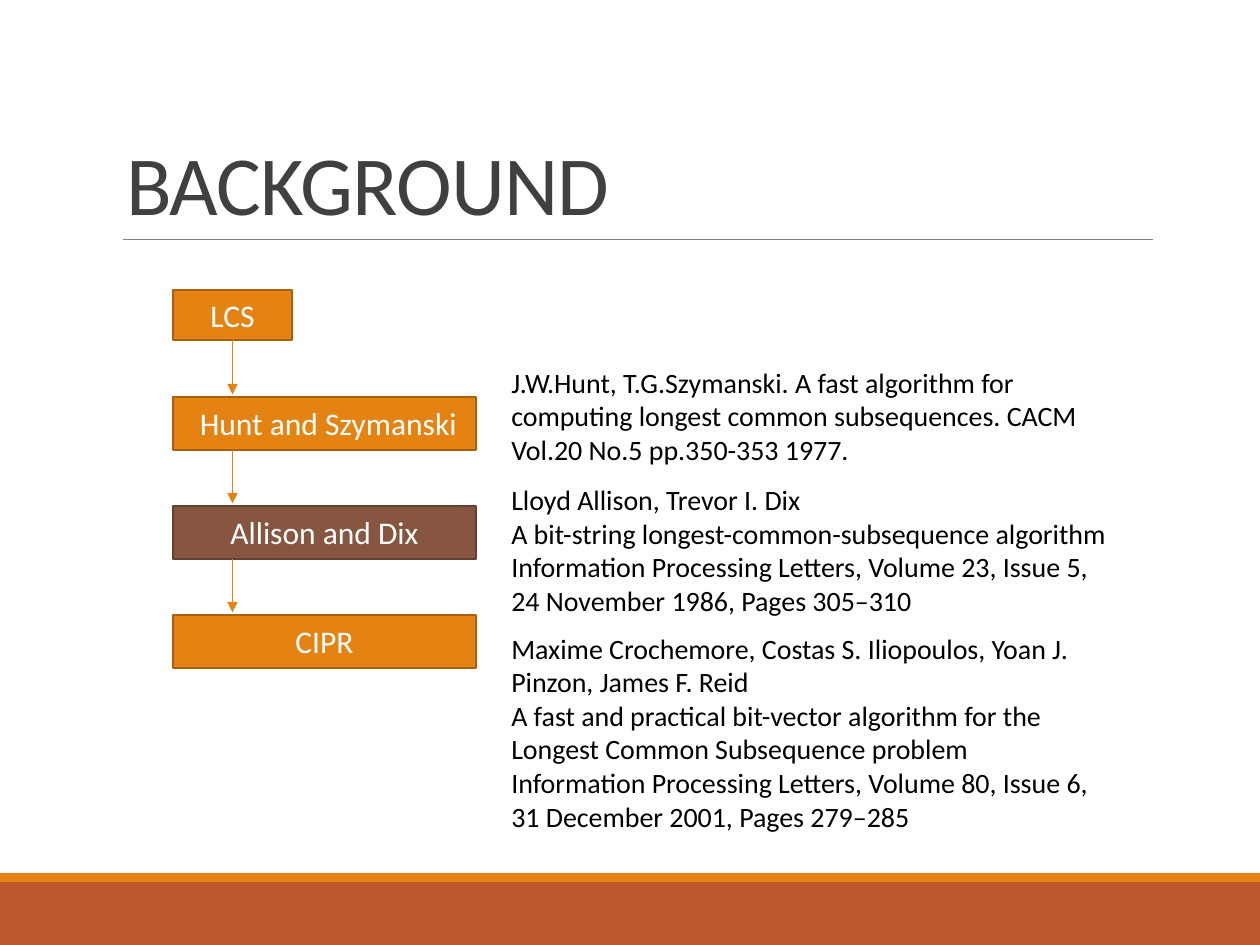
from dataclasses import dataclass
from pptx import Presentation
from pptx.dml.color import RGBColor
from pptx.enum.shapes import MSO_CONNECTOR, MSO_SHAPE
from pptx.enum.text import MSO_ANCHOR, MSO_AUTO_SIZE, PP_ALIGN
from pptx.oxml.ns import qn
from pptx.util import Inches, Pt
from lxml.etree import SubElement

WIDE, HIGH = Inches(10), Inches(7.5)
COLS, ROWS = 100, 75


@dataclass(frozen=True)
class Theme:
    font: str = "Calibri"
    title: float = 48
    label: float = 18
    body: float = 16
    ink: str = "404040"
    text: str = "000000"
    white: str = "FFFFFF"
    rule: str = "808080"
    main: str = "E48312"
    edge: str = "A9610D"
    alt: str = "865640"
    rim: str = "63402F"
    base: str = "BD582C"


THEME = Theme()

NOTES = [
    (28.5, 9.1, [
        "J.W.Hunt, T.G.Szymanski. A fast algorithm for computing longest common "
        "subsequences. CACM Vol.20 No.5 pp.350-353 1977."]),
    (37.8, 11.8, [
        "Lloyd Allison, Trevor I. Dix",
        "A bit-string longest-common-subsequence algorithm",
        "Information Processing Letters, Volume 23, Issue 5, "
        "24 November 1986, Pages 305–310"]),
    (49.6, 17.8, [
        "Maxime Crochemore, Costas S. Iliopoulos, Yoan J. Pinzon, James F. Reid",
        "A fast and practical bit-vector algorithm for the "
        "Longest Common Subsequence problem",
        "Information Processing Letters, Volume 80, Issue 6, "
        "31 December 2001, Pages 279–285"]),
]


def col(n):
    return round(WIDE * n / COLS)


def row(n):
    return round(HIGH * n / ROWS)


def area(x, y, w, h):
    return col(x), row(y), col(w), row(h)


def style(para, size, color):
    font = para.font
    font.name, font.size = THEME.font, Pt(size)
    font.color.rgb = RGBColor.from_string(color)


def add_box(slide, place, fill, edge=None):
    box = slide.shapes.add_shape(MSO_SHAPE.RECTANGLE, *area(*place))
    box.shadow.inherit = False
    box.fill.solid()
    box.fill.fore_color.rgb = RGBColor.from_string(fill)
    if edge:
        box.line.color.rgb = RGBColor.from_string(edge)
        box.line.width = Pt(1.25)
    else:
        box.line.fill.background()
    return box


def add_label(box, text, inset):
    frame = box.text_frame
    frame.word_wrap = True
    frame.vertical_anchor = MSO_ANCHOR.MIDDLE
    frame.margin_left = col(inset)
    para = frame.paragraphs[0]
    para.text = text
    para.alignment = PP_ALIGN.CENTER
    style(para, THEME.label, THEME.white)


def add_line(slide, start, end, color, width, arrow=False):
    line = slide.shapes.add_connector(
        MSO_CONNECTOR.STRAIGHT, col(start[0]), row(start[1]), col(end[0]), row(end[1]))
    line.line.color.rgb = RGBColor.from_string(color)
    line.line.width = Pt(width)
    if arrow:
        SubElement(line.line._get_or_add_ln(), qn("a:tailEnd"), type="triangle")
    SubElement(line._element.spPr, qn("a:effectLst"))
    return line


def add_title(slide, text):
    title = slide.shapes.title
    title.left, title.top, title.width, title.height = area(9, 3.1, 82.5, 15.9)
    frame = title.text_frame
    frame.auto_size = MSO_AUTO_SIZE.NONE
    frame.vertical_anchor = MSO_ANCHOR.BOTTOM
    para = frame.paragraphs[0]
    para.text = text
    para.alignment = PP_ALIGN.LEFT
    para.line_spacing = 0.85
    style(para, THEME.title, THEME.ink)
    para.runs[0].font._element.set("spc", "-50")


def add_note(slide, top, tall, lines):
    frame = slide.shapes.add_textbox(*area(39.6, top, 50, tall)).text_frame
    frame.word_wrap = True
    frame.auto_size = MSO_AUTO_SIZE.SHAPE_TO_FIT_TEXT
    frame.text = "\n".join(lines)
    for para in frame.paragraphs:
        style(para, THEME.body, THEME.text)


def add_flow(slide):
    left, wide, tall, first, step = 13.7, 24.1, 4.2, 31.5, 8.65
    main, alt = (THEME.main, THEME.edge), (THEME.alt, THEME.rim)
    root = add_box(slide, (left, 23, 9.5, 4), *main)
    add_label(root, "LCS", 1)
    mid, end = left + 9.5 / 2, 27
    steps = [("Hunt and Szymanski", main, 1.6), ("Allison and Dix", alt, 1),
             ("CIPR", main, 1)]
    for i, (text, tint, inset) in enumerate(steps):
        top = first + i * step
        box = add_box(slide, (left, top, wide, tall), *tint)
        add_label(box, text, inset)
        line = add_line(slide, (mid, end), (mid, top - 0.2), THEME.main, 1, True)
        if i == 0:
            line.begin_connect(root, 2)
        end = top + tall


def main():
    deck = Presentation()
    deck.slide_width, deck.slide_height = WIDE, HIGH
    slide = deck.slides.add_slide(deck.slide_layouts[5])
    add_box(slide, (0, 70, COLS, 5), THEME.base)
    add_box(slide, (0, 69.3, COLS, 0.7), THEME.main)
    add_line(slide, (9.8, 19), (91.5, 19), THEME.rule, 0.5)
    add_title(slide, "BACKGROUND")
    add_flow(slide)
    for note in NOTES:
        add_note(slide, *note)
    deck.save("out.pptx")


if __name__ == "__main__":
    main()
